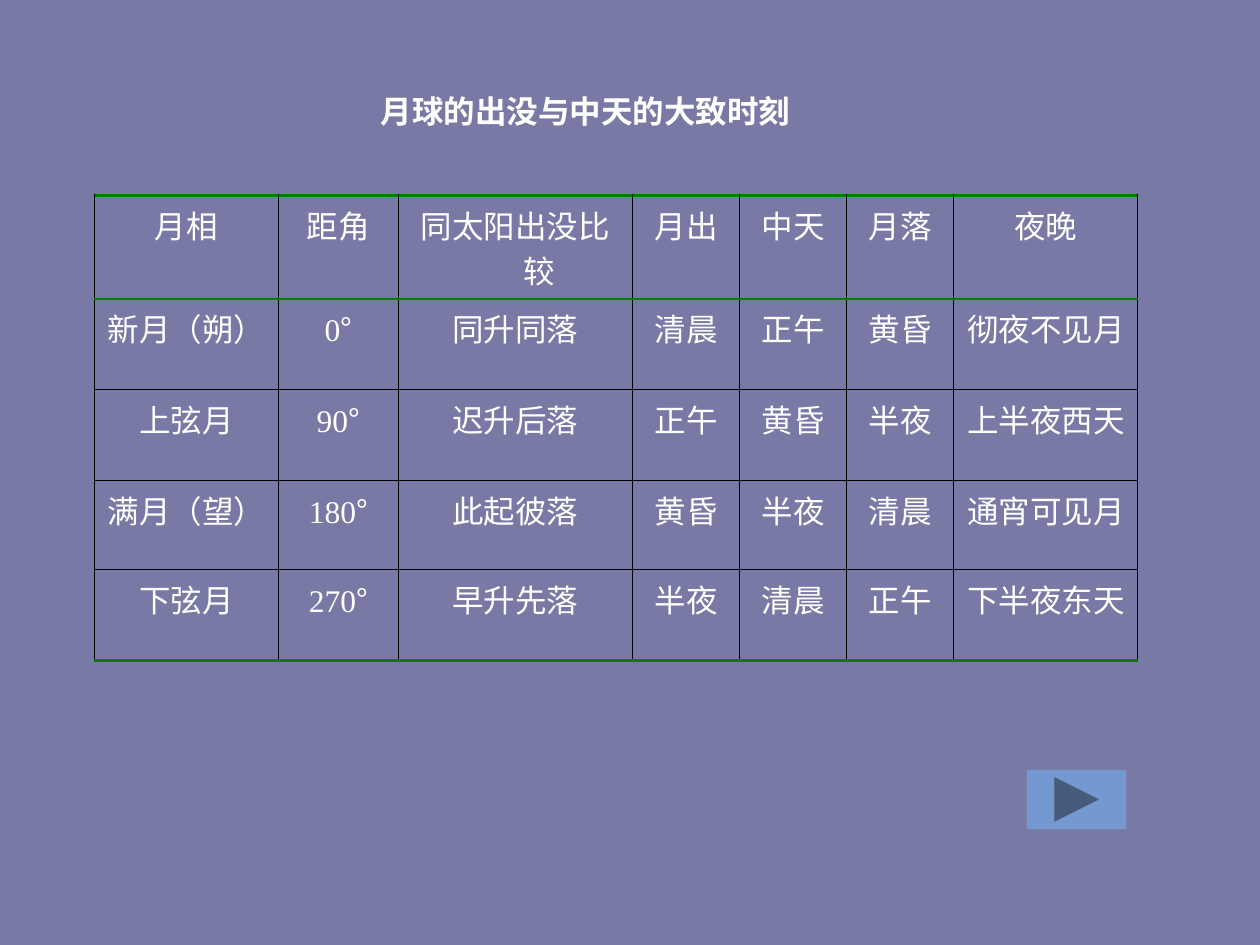
"""Build a slide with a table of moonrise, transit and moonset times."""
from lxml.etree import SubElement
from pptx import Presentation
from pptx.dml.color import RGBColor
from pptx.enum.shapes import MSO_SHAPE
from pptx.enum.text import MSO_ANCHOR, PP_ALIGN
from pptx.oxml.ns import qn
from pptx.util import Inches, Pt

TITLE = "月球的出没与中天的大致时刻"
ROWS = [
    ["月相", "距角", "同太阳出没比较", "月出", "中天", "月落", "夜晚"],
    ["新月（朔）", "0°", "同升同落", "清晨", "正午", "黄昏", "彻夜不见月"],
    ["上弦月", "90°", "迟升后落", "正午", "黄昏", "半夜", "上半夜西天"],
    ["满月（望）", "180°", "此起彼落", "黄昏", "半夜", "清晨", "通宵可见月"],
    ["下弦月", "270°", "早升先落", "半夜", "清晨", "正午", "下半夜东天"],
]
COLUMN_WIDTHS = [1.46, 0.95, 1.86, 0.85, 0.85, 0.85, 1.46]
ROW_HEIGHTS = [0.69, 0.72, 0.72, 0.71, 0.72]
BACKGROUND, BUTTON, WHITE = "7979A5", "7499D0", "FFFFFF"
THIN, RULE, EDGE = ("000000", 0.75), ("008000", 1), ("008000", 2)
ROW_LINES = [EDGE, RULE, THIN, THIN, THIN, EDGE]
TITLE_FONT = {"name": "Arial", "size": Pt(18), "bold": True}
CELL_FONT = {"name": "Times New Roman", "size": Pt(18)}
DEGREE_FONT = {**CELL_FONT, "name": "Noto Sans CJK SC"}


def paint(target, color):
    """Give a fill or a font a solid colour."""
    if hasattr(target, "solid"):
        target.solid()
        target = target.fore_color
    else:
        target = target.color
    target.rgb = RGBColor.from_string(color)


def add_span(para, text, font_format):
    """Add white text with the given font values."""
    span = para.add_run()
    span.text = text
    for name, value in font_format.items():
        setattr(span.font, name, value)
    paint(span.font, WHITE)


def set_borders(cell, top, bottom):
    """Draw the four borders of a cell."""
    properties = cell._tc.get_or_add_tcPr()
    borders = {"lnL": THIN, "lnR": THIN, "lnT": top, "lnB": bottom}
    for tag, (color, width) in borders.items():
        line = SubElement(properties, qn(f"a:{tag}"), w=str(Pt(width)))
        fill = SubElement(line, qn("a:solidFill"))
        SubElement(fill, qn("a:srgbClr"), val=color)


def fill_cell(cell, text):
    """Write centred text, with the degree sign in its own font."""
    para = cell.text_frame.paragraphs[0]
    para.alignment = PP_ALIGN.CENTER
    properties = para._p.get_or_add_pPr()
    properties.set("marL", str(Inches(0.38)))
    properties.set("indent", str(-Inches(0.38)))
    add_span(para, text.rstrip("°"), CELL_FONT)
    if text.endswith("°"):
        add_span(para, "°", DEGREE_FONT)


def add_moon_table(page):
    """Add the table of moon phases."""
    frame = page.shapes.add_table(
        len(ROWS), len(COLUMN_WIDTHS), Inches(0.75), Inches(1.55),
        Inches(sum(COLUMN_WIDTHS)), Inches(sum(ROW_HEIGHTS)))
    table = frame.table
    table.first_row = table.horz_banding = False
    for column, width in zip(table.columns, COLUMN_WIDTHS):
        column.width = Inches(width)
    for index, (row, height) in enumerate(zip(table.rows, ROW_HEIGHTS)):
        row.height = Inches(height)
        for cell, text in zip(row.cells, ROWS[index]):
            fill_cell(cell, text)
            set_borders(cell, ROW_LINES[index], ROW_LINES[index + 1])
            cell.fill.background()


def add_title(page):
    """Place and format the slide title."""
    box = page.shapes.title
    place = {"left": 1.77, "top": 0.68, "width": 5.75, "height": 0.4}
    for name, value in place.items():
        setattr(box, name, Inches(value))
    box.text_frame.word_wrap = True
    box.text_frame.vertical_anchor = MSO_ANCHOR.MIDDLE
    para = box.text_frame.paragraphs[0]
    para.alignment = PP_ALIGN.CENTER
    add_span(para, TITLE, TITLE_FONT)


def add_next_button(page):
    """Add the forward button."""
    button = page.shapes.add_shape(
        MSO_SHAPE.ACTION_BUTTON_FORWARD_OR_NEXT,
        Inches(8.15), Inches(6.11), Inches(0.79), Inches(0.47))
    button.shadow.inherit = False
    paint(button.fill, BUTTON)
    button.line.fill.background()


def main():
    """Build and save the deck."""
    deck = Presentation()
    deck.slide_width, deck.slide_height = Inches(10), Inches(7.5)
    page = deck.slides.add_slide(deck.slide_layouts[5])
    paint(page.background.fill, BACKGROUND)
    add_moon_table(page)
    add_title(page)
    add_next_button(page)
    deck.save("out.pptx")


if __name__ == "__main__":
    main()
